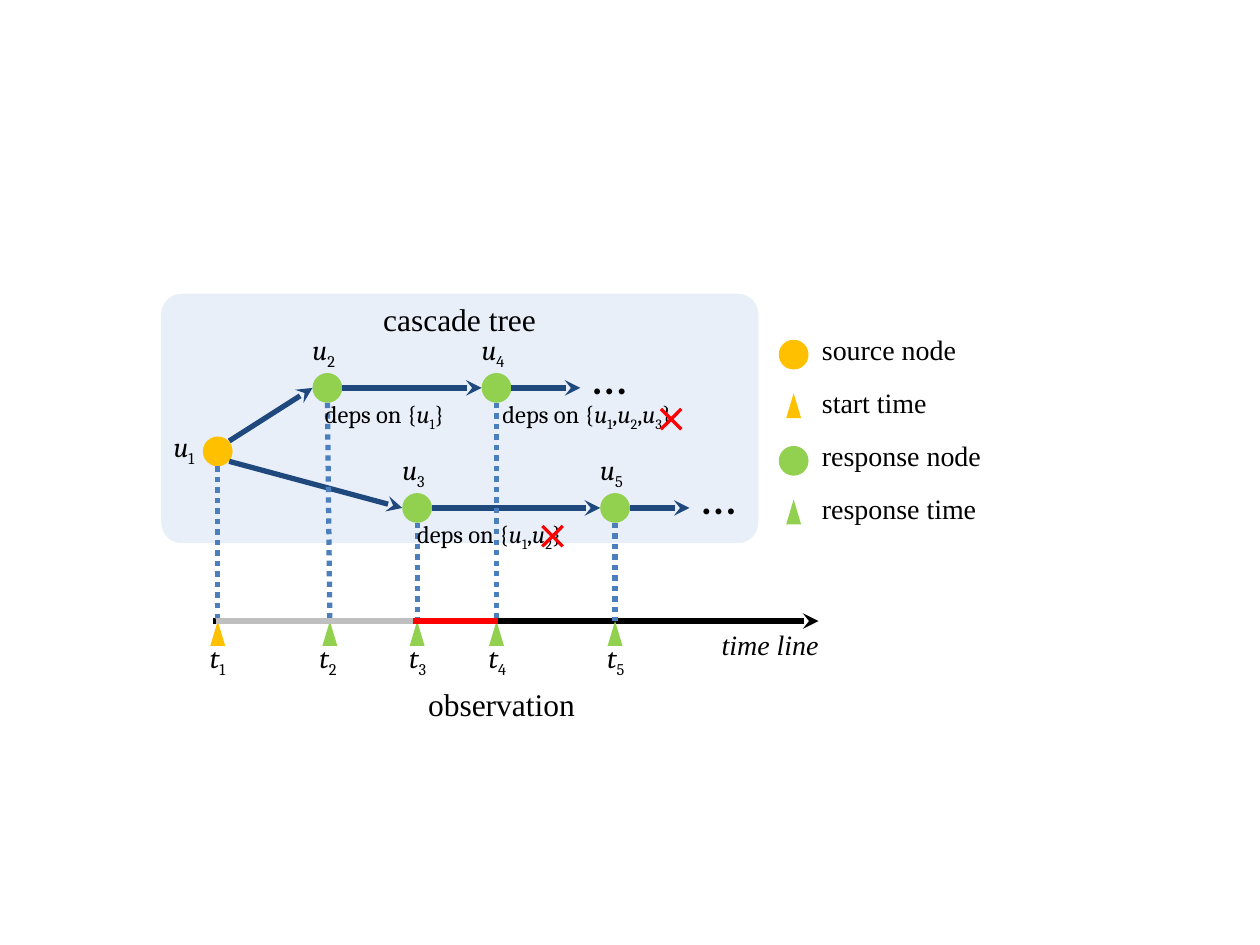
from pptx import Presentation
from pptx.dml.color import RGBColor
from pptx.enum.dml import MSO_LINE
from pptx.enum.shapes import MSO_CONNECTOR, MSO_SHAPE
from pptx.enum.text import MSO_ANCHOR, MSO_AUTO_SIZE, PP_ALIGN
from pptx.oxml.ns import qn
from pptx.util import Cm, Pt
from lxml.etree import SubElement

ORANGE, GREEN, NAVY, BLUE = "FFC000", "92D050", "1F497D", "4B7EBC"
BLACK, GRAY, RED, PALE = "000000", "BFBFBF", "FF0000", "C6D9F1"
SERIF, MATH = "Times New Roman", "Cambria"

NODE, MARK_WIDTH, MARK_HEIGHT, CROSS = 0.6, 0.3, 0.5, 0.79
RADIUS = NODE / 2
TIME_Y = 12.52
TOP_Y, BOTTOM_Y = 7.82, 10.24

USERS = [
    {"number": 1, "x": 4.39, "y": 9.1, "time": 4.39, "color": ORANGE, "label": (3.25, 8.53)},
    {"number": 2, "x": 6.6, "y": TOP_Y, "time": 6.65, "color": GREEN},
    {"number": 3, "x": 8.41, "y": BOTTOM_Y, "time": 8.41, "color": GREEN},
    {"number": 4, "x": 10.01, "y": TOP_Y, "time": 10.01, "color": GREEN},
    {"number": 5, "x": 12.4, "y": BOTTOM_Y, "time": 12.4, "color": GREEN},
]
BRANCHES = [
    (4.62, 8.89, 6.6 - RADIUS, TOP_Y),
    (4.62, 9.3, 8.41 - RADIUS, BOTTOM_Y),
    (6.6 + RADIUS, TOP_Y, 10.01 - RADIUS, TOP_Y),
    (8.41 + RADIUS, BOTTOM_Y, 12.4 - RADIUS, BOTTOM_Y),
    (10.01 + RADIUS, TOP_Y, 11.7, TOP_Y),
    (12.4 + RADIUS, BOTTOM_Y, 13.9, BOTTOM_Y),
]
TIME_LINES = [
    (4.3, 16.5, BLACK, True),
    (4.35, 8.35, GRAY, False),
    (8.33, 10.04, RED, False),
]
LEGEND = [
    ("source node", MSO_SHAPE.OVAL, ORANGE, 3.38),
    ("start time", MSO_SHAPE.ISOSCELES_TRIANGLE, ORANGE, 2.67),
    ("response node", MSO_SHAPE.OVAL, GREEN, 3.76),
    ("response time", MSO_SHAPE.ISOSCELES_TRIANGLE, GREEN, 3.68),
]
DEPENDENCIES = [
    ("deps on {|/u|_1|}", 6.3, TOP_Y, 3.12),
    ("deps on {|/u|_1|,|/u|_2|}", 8.16, BOTTOM_Y, 3.68),
    ("deps on {|/u|_1|,|/u|_2|,|/u|_3|}", 9.88, TOP_Y, 4.24),
]
CAPTIONS = [
    ("/time line", 14.3, 12.52, 2.49, 0.94, 16, SERIF),
    ("…", 11.7, 6.84, 1.19, 1.45, 28, "Calibri"),
    ("…", 13.9, 9.26, 1.19, 1.45, 28, "Calibri"),
    ("observation", 8.38, 13.69, 3.51, 1.02, 18, SERIF),
]
CROSSES = [(11.14, 10.81), (13.53, 8.45)]


def color(value):
    return RGBColor.from_string(value)


def place(shape, left, top, width, height):
    shape.left, shape.top, shape.width, shape.height = Cm(left), Cm(top), Cm(width), Cm(height)


def add_filled(preset, left, top, width, height, fill):
    shape = slide.shapes.add_shape(preset, Cm(left), Cm(top), Cm(width), Cm(height))
    shape.shadow.inherit = False
    shape.fill.solid()
    shape.fill.fore_color.rgb = color(fill)
    shape.line.fill.background()
    return shape


def add_node(x, y, fill):
    add_filled(MSO_SHAPE.OVAL, x - RADIUS, y - RADIUS, NODE, NODE, fill)


def add_mark(x, top, fill):
    add_filled(MSO_SHAPE.ISOSCELES_TRIANGLE, x - MARK_WIDTH / 2, top, MARK_WIDTH, MARK_HEIGHT, fill)


def add_line(x1, y1, x2, y2, stroke, arrow=False, dotted=False):
    connector = slide.shapes.add_connector(MSO_CONNECTOR.STRAIGHT, Cm(x1), Cm(y1), Cm(x2), Cm(y2))
    connector.line.color.rgb = color(stroke)
    connector.line.width = Pt(3)
    if dotted:
        connector.line.dash_style = MSO_LINE.ROUND_DOT
    if arrow:
        SubElement(connector.line._get_or_add_ln(), qn("a:tailEnd"), type="stealth")
    SubElement(connector._element.spPr, qn("a:effectLst"))


def write(shape, text, size, font):
    frame = shape.text_frame
    frame.word_wrap = False
    frame.auto_size = MSO_AUTO_SIZE.SHAPE_TO_FIT_TEXT
    frame.vertical_anchor = MSO_ANCHOR.TOP
    paragraph = frame.paragraphs[0]
    paragraph.alignment = PP_ALIGN.LEFT
    for part in text.split("|"):
        run = paragraph.add_run()
        run.text = part.lstrip("/_")
        run.font.size = Pt(size)
        run.font.name = font
        run.font.color.rgb = color(BLACK)
        run.font.italic = part.startswith("/")
        if part.startswith("_"):
            run.font._element.set("baseline", "-25000")


def add_text(text, left, top, width, height, size, font):
    box = slide.shapes.add_textbox(Cm(left), Cm(top), Cm(width), Cm(height))
    write(box, text, size, font)


presentation = Presentation()
presentation.slide_width, presentation.slide_height = Cm(25.4), Cm(19.05)
slide = presentation.slides.add_slide(presentation.slide_layouts[5])

panel = add_filled(MSO_SHAPE.ROUNDED_RECTANGLE, 3.25, 5.92, 12.04, 5.03, PALE)
panel.adjustments[0] = 0.083
panel_color = panel._element.spPr.find(qn("a:solidFill")).find(qn("a:srgbClr"))
SubElement(panel_color, qn("a:alpha"), val="40000")

title = slide.shapes.title
title._element.getparent().append(title._element)
place(title, 7.47, 5.92, 3.63, 1.02)
write(title, "cascade tree", 18, SERIF)

for user in USERS:
    add_node(user["x"], user["y"], user["color"])
for branch in BRANCHES:
    add_line(*branch, NAVY, arrow=True)
for start, end, stroke, arrow in TIME_LINES[:1]:
    add_line(start, TIME_Y, end, TIME_Y, stroke, arrow)

for user in USERS:
    number, x, y, time = user["number"], user["x"], user["y"], user["time"]
    add_mark(time, TIME_Y, user["color"])
    add_line(x, y + RADIUS, time, TIME_Y, BLUE, dotted=True)
    label_left, label_top = user.get("label", (x - 0.55, y - 1.24))
    add_text(f"/u|_{number}", label_left, label_top, 1.04, 0.94, 16, MATH)
    add_text(f"/t|_{number}", x - 0.41, 12.78, 0.91, 0.94, 16, MATH)

for start, end, stroke, arrow in TIME_LINES[1:]:
    add_line(start, TIME_Y, end, TIME_Y, stroke, arrow)

for row, (name, preset, fill, width) in enumerate(LEGEND):
    middle = 7.12 + row * 1.07
    if preset == MSO_SHAPE.OVAL:
        add_node(16.0, middle + 0.03, fill)
    else:
        add_mark(16.0, middle - 0.26, fill)
    add_text(name, 16.32, middle - 0.54, width, 0.94, 16, SERIF)

for caption in CAPTIONS:
    add_text(*caption)
for text, left, y, width in DEPENDENCIES:
    add_text(text, left, y + 0.1, width, 0.86, 14, MATH)
for center_x, center_y in CROSSES:
    cross = add_filled(MSO_SHAPE.MATH_MULTIPLY, center_x - CROSS / 2, center_y - CROSS / 2, CROSS, CROSS, RED)
    cross.adjustments[0] = 0.083

presentation.save("out.pptx")
